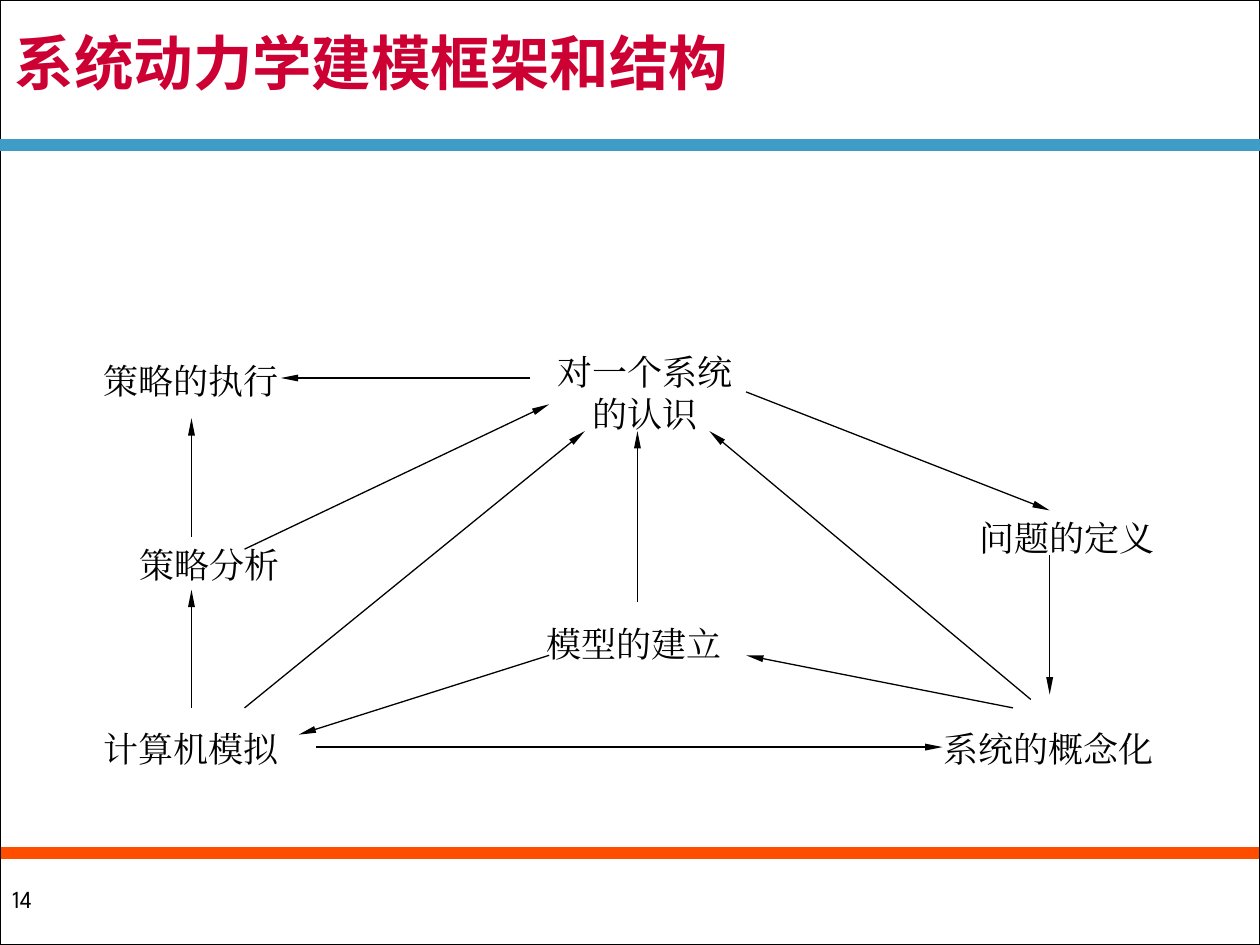
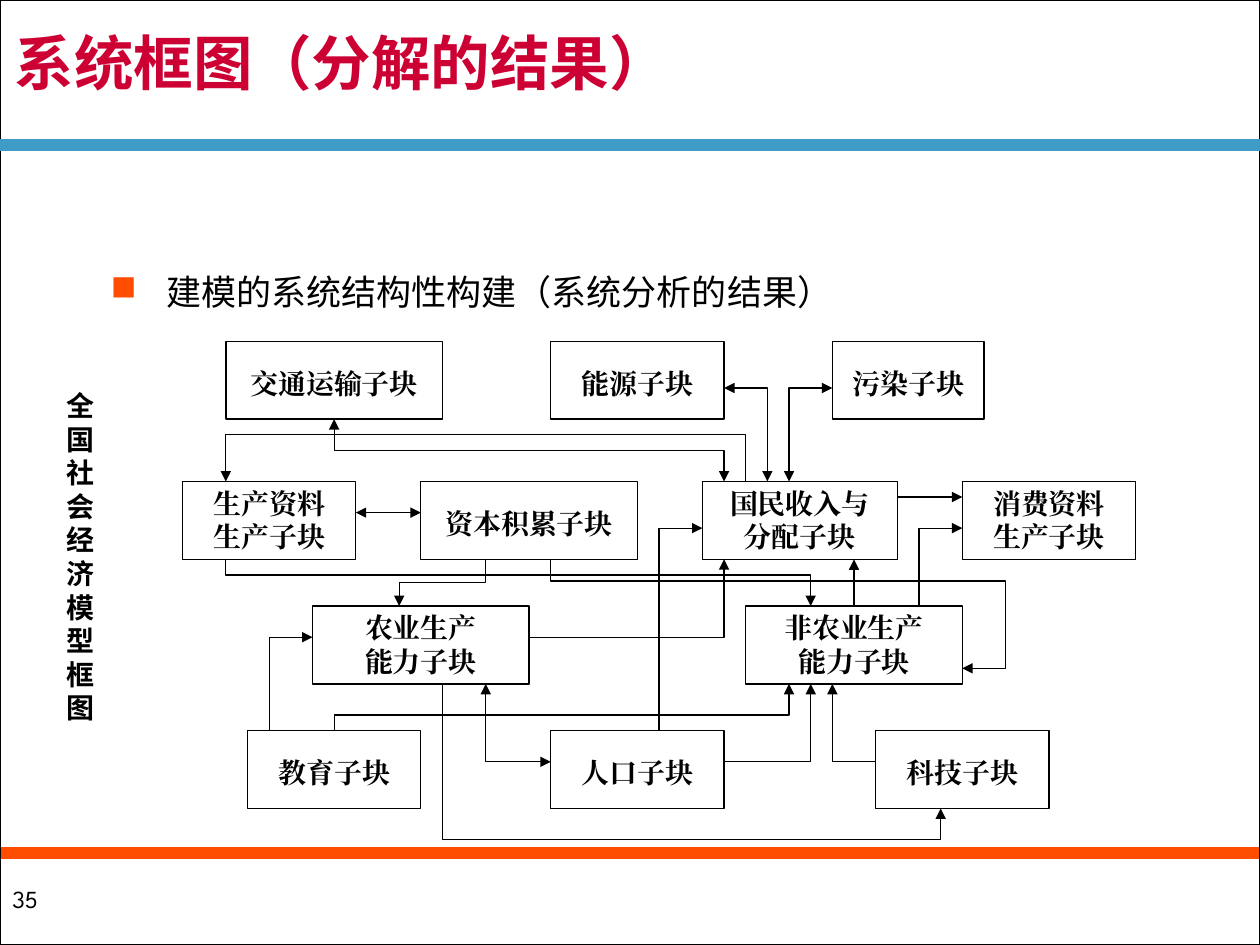
from dataclasses import dataclass

from lxml import etree
from pptx import Presentation
from pptx import util as u
from pptx.dml.color import RGBColor
from pptx.enum import shapes, text
from pptx.oxml.ns import qn


@dataclass(frozen=True)
class Theme:
    ink: str = "000000"
    paper: str = "FFFFFF"
    title: str = "CC0033"
    blue: str = "3E9CC7"
    orange: str = "FF4D00"
    title_font: str = "Noto Sans CJK SC"
    body_font: str = "League Spartan"
    diagram_font: str = "Times New Roman"
    title_size: int = 34
    body_size: int = 20
    box_size: int = 16
    number_size: int = 14
    leading: float = 1.2
    thin: float = 0.75
    band: float = 7


THEME = Theme()
WIDTH, HEIGHT = 25.4, 19.05
TOP, LEFT, BOTTOM, RIGHT = range(4)
INSETS = (0.25, 0.13, 0.25, 0.13)

# The block diagram lies on a grid: 36 steps across, 30 steps down.
GRID_LEFT, GRID_TOP = 3.68, 6.88
STEP_X, STEP_Y = 15.72 / 36, 9.42 / 30
BLOCK_ROWS = 5

LABELS = {  # left, top, width, height in cm
    "策略的执行": (1.7, 7.11, 4.32, 1.32),
    "对一个系统的认识": (10.85, 6.93, 4.32, 2.57),
    "问题的定义": (19.35, 10.29, 4.32, 1.32),
    "策略分析": (2.06, 10.82, 4.32, 1.32),
    "计算机模拟": (1.7, 14.53, 4.32, 1.32),
    "系统的概念化": (18.62, 14.53, 5.05, 1.32),
    "模型的建立": (10.62, 12.42, 4.32, 1.32),
}
LOOP_ARROWS = [  # start and end in cm
    ((10.69, 7.62), (5.66, 7.62)),
    ((3.86, 14.27), (3.86, 11.89)),
    ((11.07, 13.21), (6.02, 14.81)),
    ((12.85, 12.14), (12.85, 8.69)),
    ((20.42, 14.27), (15.04, 13.21)),
    ((21.16, 11.18), (21.16, 14)),
    ((15.04, 7.9), (21.16, 10.29)),
    ((4.93, 14.27), (11.79, 8.69)),
    ((20.78, 14.1), (14.3, 8.69)),
    ((4.93, 11.07), (11.07, 8.15)),
    ((6.38, 15.06), (19, 15.06)),
]
BLOCKS = {  # column, row, columns wide
    "交通运输子块": (2, 0, 10),
    "能源子块": (17, 0, 8),
    "污染子块": (30, 0, 7),
    "生产资料\n生产子块": (0, 9, 8),
    "资本积累子块": (11, 9, 10),
    "国民收入与\n分配子块": (24, 9, 9),
    "消费资料\n生产子块": (36, 9, 8),
    "农业生产\n能力子块": (6, 17, 10),
    "非农业生产\n能力子块": (26, 17, 10),
    "教育子块": (3, 25, 8),
    "人口子块": (17, 25, 8),
    "科技子块": (32, 25, 8),
}
TWO_WAY_ROUTES = [  # grid points
    [(7, 5), (7, 7), (25, 7), (25, 9)],
    [(25, 3), (27, 3), (27, 9)],
    [(30, 3), (28, 3), (28, 9)],
    [(14, 22), (14, 27), (17, 27)],
]
ONE_WAY_ROUTES = [
    [(26, 9), (26, 6), (2, 6), (2, 9)],
    [(14, 14), (14, 15.5), (10, 15.5), (10, 17)],
    [(2, 14), (2, 15), (29, 15), (29, 17)],
    [(4, 25), (4, 19), (6, 19)],
    [(7, 25), (7, 24), (28, 24), (28, 22)],
    [(22, 25), (22, 12), (24, 12)],
    [(16, 19), (25, 19), (25, 14)],
    [(25, 27), (29, 27), (29, 22)],
    [(12, 22), (12, 32), (35, 32), (35, 30)],
    [(32, 27), (30, 27), (30, 22)],
    [(17, 14), (17, 15.4), (38, 15.4), (38, 21), (36, 21)],
    [(34, 17), (34, 12), (36, 12)],
]


def rgb(color):
    return RGBColor.from_string(color)


def grid(column, row):
    """Turn a grid point into centimetres."""
    return GRID_LEFT + column * STEP_X, GRID_TOP + row * STEP_Y


def write(shape, content, *, size, font=THEME.diagram_font, color=THEME.ink,
          bold=False, align=text.PP_ALIGN.LEFT, anchor=text.MSO_ANCHOR.TOP,
          insets=INSETS, spacing=None, bullet=None):
    """Fill a shape with one paragraph per line of content."""
    frame = shape.text_frame
    frame.word_wrap = True
    frame.vertical_anchor = anchor
    (frame.margin_left, frame.margin_top,
     frame.margin_right, frame.margin_bottom) = map(u.Cm, insets)
    for index, line in enumerate(content.split("\n")):
        paragraph = frame.add_paragraph() if index else frame.paragraphs[0]
        if bullet:
            add_bullet(paragraph, bullet)
        paragraph.alignment = align
        paragraph.line_spacing = spacing or u.Pt(size * THEME.leading)
        run = paragraph.add_run()
        run.text = line
        run.font.size = u.Pt(size)
        run.font.bold = bold
        run.font.color.rgb = rgb(color)
        run.font.name = font
        properties = run._r.get_or_add_rPr()
        etree.SubElement(properties, qn("a:ea"), typeface=font)


def add_bullet(paragraph, symbol):
    properties = paragraph._p.get_or_add_pPr()
    properties.set("marL", str(u.Cm(1.6)))
    properties.set("indent", str(u.Cm(-1.12)))
    color = etree.SubElement(properties, qn("a:buClr"))
    etree.SubElement(color, qn("a:srgbClr"), val=THEME.orange)
    etree.SubElement(properties, qn("a:buChar"), char=symbol)


def add_text(slide, bounds, content, **style):
    shape = slide.shapes.add_textbox(*map(u.Cm, bounds))
    write(shape, content, **style)
    return shape


def add_rectangle(slide, bounds, fill=None, line_width=None):
    shape = slide.shapes.add_shape(
        shapes.MSO_SHAPE.RECTANGLE, *map(u.Cm, bounds))
    shape.shadow.inherit = False
    if fill:
        shape.fill.solid()
        shape.fill.fore_color.rgb = rgb(fill)
    else:
        shape.fill.background()
    if line_width:
        set_line(shape, THEME.ink, line_width)
    else:
        shape.line.fill.background()
    return shape


def set_line(shape, color, width):
    shape.line.color.rgb = rgb(color)
    shape.line.width = u.Pt(width)


def add_arrowheads(shape, both=False, width="med", length="med"):
    outline = shape.element.spPr.find(qn("a:ln"))
    for end in ("headEnd", "tailEnd") if both else ("tailEnd",):
        etree.SubElement(outline, qn("a:" + end),
                         type="triangle", w=width, len=length)


def add_line(slide, start, end, color=THEME.ink, width=THEME.thin):
    line = slide.shapes.add_connector(
        shapes.MSO_CONNECTOR.STRAIGHT, *map(u.Cm, start + end))
    set_line(line, color, width)
    etree.SubElement(line.element.spPr, qn("a:effectLst"))
    return line


def add_route(slide, points, both=False):
    """Draw an angled arrow through grid points."""
    corners = [tuple(map(u.Cm, grid(*point))) for point in points]
    builder = slide.shapes.build_freeform(*corners[0])
    builder.add_line_segments(corners[1:], close=False)
    route = builder.convert_to_shape()
    route.shadow.inherit = False
    route.fill.background()
    set_line(route, THEME.ink, THEME.thin)
    add_arrowheads(route, both)


def add_block(slide, name, column, row, columns):
    bounds = (*grid(column, row), columns * STEP_X, BLOCK_ROWS * STEP_Y)
    block = add_rectangle(slide, bounds, line_width=THEME.thin)
    top_inset = 0.1 if "\n" in name else 0.51
    write(block, name, size=THEME.box_size, bold=True,
          align=text.PP_ALIGN.CENTER, insets=(0.2, top_inset, 0.2, 0.1))
    return block


def add_page(presentation, title, number):
    """Add a slide with its frame, bands, title and page number."""
    slide = presentation.slides.add_slide(presentation.slide_layouts[6])
    footer = add_rectangle(slide, (0, 17.17, WIDTH, 1.88), fill=THEME.paper)
    write(footer, str(number), size=THEME.number_size, font=THEME.body_font,
          anchor=text.MSO_ANCHOR.MIDDLE)
    add_line(slide, (0, 17.2), (WIDTH, 17.2), THEME.orange, THEME.band)
    add_rectangle(slide, (0, 0, WIDTH, HEIGHT), line_width=1)
    add_line(slide, (0, 2.92), (WIDTH, 2.92), THEME.blue, THEME.band)
    add_text(slide, (0.3, 0.2, 24.89, 2.31), title, size=THEME.title_size,
             font=THEME.title_font, color=THEME.title, bold=True,
             anchor=text.MSO_ANCHOR.MIDDLE, insets=(0, 0, 0, 0), spacing=0.85)
    return slide


def add_modelling_loop(presentation):
    slide = add_page(presentation, "系统动力学建模框架和结构", 14)
    labels = {name: add_text(slide, bounds, name, size=THEME.body_size,
                             align=text.PP_ALIGN.CENTER)
              for name, bounds in LABELS.items()}
    arrows = [add_line(slide, start, end) for start, end in LOOP_ARROWS]
    execution = add_line(slide, (3.86, 10.82), (3.86, 8.43))
    execution.end_connect(labels["策略的执行"], BOTTOM)
    for arrow in [*arrows, execution]:
        add_arrowheads(arrow, width="sm", length="lg")


def add_block_diagram(presentation):
    slide = add_page(presentation, "系统框图（分解的结果）", 35)
    add_text(slide, (1.75, 5.46, 23, 1), "建模的系统结构性构建（系统分析的结果）",
             size=THEME.body_size, font=THEME.body_font,
             insets=(0, 0, 0, 0), bullet="■")
    blocks = {name: add_block(slide, name, *place)
              for name, place in BLOCKS.items()}
    for route in TWO_WAY_ROUTES:
        add_route(slide, route, both=True)
    for route in ONE_WAY_ROUTES:
        add_route(slide, route)
    add_arrowheads(add_line(slide, grid(8, 11), grid(11, 11)), both=True)
    add_arrowheads(add_line(slide, grid(33, 10), grid(36, 10)))
    income = add_line(slide, grid(31, 17), grid(31, 14))
    income.begin_connect(blocks["非农业生产\n能力子块"], TOP)
    add_arrowheads(income)
    add_text(slide, (1.09, 7.7, 1.19, 7.04), "全国社会经济模型框图",
             size=THEME.box_size, font=THEME.body_font, bold=True,
             anchor=text.MSO_ANCHOR.MIDDLE)


def main():
    presentation = Presentation()
    presentation.slide_width = u.Cm(WIDTH)
    presentation.slide_height = u.Cm(HEIGHT)
    add_modelling_loop(presentation)
    add_block_diagram(presentation)
    presentation.save("out.pptx")


if __name__ == "__main__":
    main()
